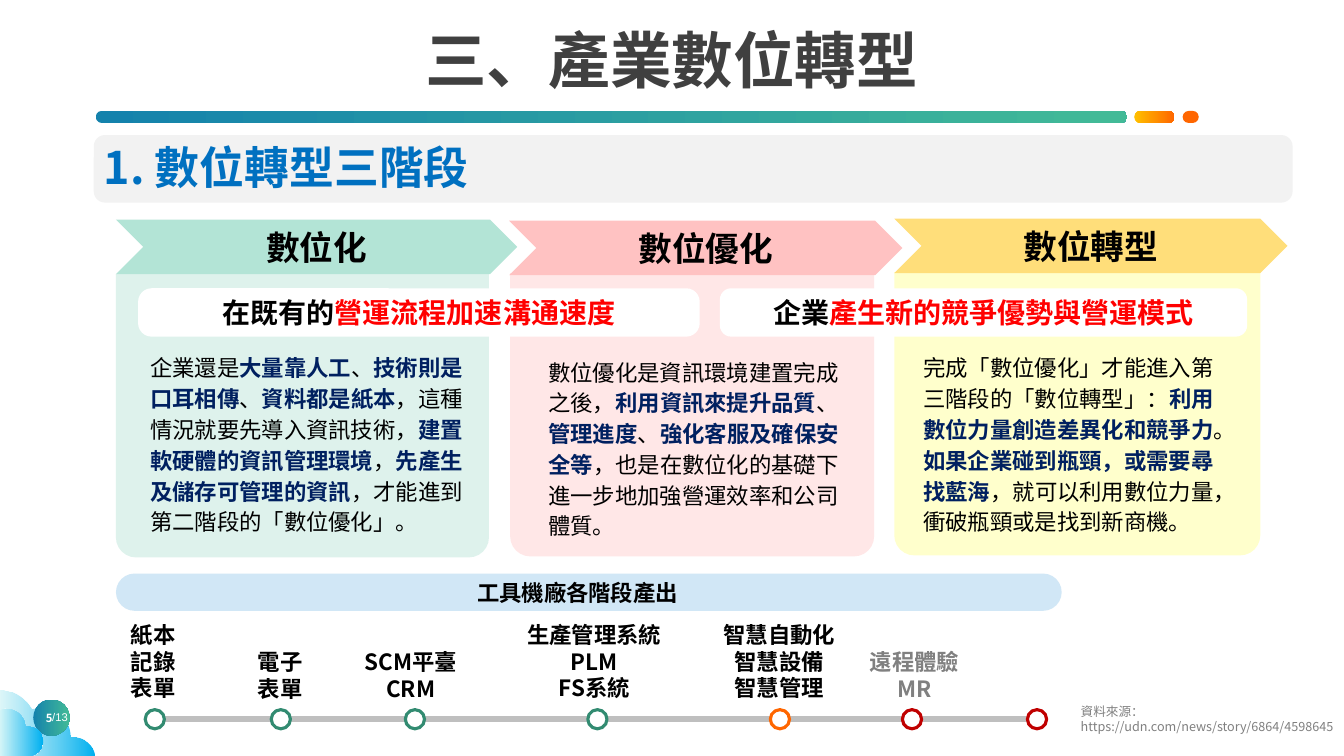
"""Build the slide on the three stages of industrial digital transformation."""
from lxml.etree import SubElement
from pptx import Presentation
from pptx.dml.color import RGBColor
from pptx.enum.shapes import MSO_CONNECTOR, MSO_SHAPE
from pptx.enum.text import MSO_ANCHOR, PP_ALIGN
from pptx.oxml.ns import qn
from pptx.util import Pt

PX = 9144
FONT = "Noto Sans CJK SC"
COLORS = {
    "white": "FFFFFF", "black": "000000", "title": "404040", "heading": "0070C0",
    "navy": "002060", "red": "FF0000", "gray": "808080", "band": "F2F2F2",
    "sky": "00B0F0", "ice": "D4F5F7", "ocean": "1482AC", "teal": "42BA97",
    "amber": "FFC000", "orange": "FF6600", "rail": "BFBFBF", "output": "D1E7F6",
    "green": "328B71", "crimson": "C00000",
    "mint": "B3E4D6", "pale mint": "D9F1EA", "pink": "FFC2C2",
    "pale pink": "FFE3E3", "gold": "FFDE7A", "pale gold": "FFFFCC",
}
BACK_CLOUD = [
    (0, 685), (5, 685), (16, 686, 26, 693, 32, 703), (40, 700, 50, 702, 58, 707),
    (65, 712, 70, 721, 70, 730), (72, 730), (83, 730, 92, 738, 94, 748),
    (94, 750), (28, 750), (34, 750, 39, 746, 41, 742), (44, 737, 43, 731, 40, 727),
    (37, 723, 33, 721, 29, 721), (25, 721), (25, 713, 19, 706, 11, 704),
    (9, 703, 7, 703, 5, 703), (0, 705),
]
FRONT_CLOUD = [
    (5, 703), (11, 704), (19, 706, 25, 713, 25, 721), (29, 721), (33, 722),
    (36, 723, 38, 724, 40, 727), (43, 731, 44, 737, 41, 742),
    (39, 746, 34, 750, 28, 750), (0, 750), (0, 705),
]
TITLE_BARS = [(95, 1023, ("ocean", "teal")), (1125, 40, ("amber", "orange")),
              (1173, 16, "orange")]
# Vertical bars in the wording separate plain and emphasised runs.
STAGES = [
    ("數位化", "mint", "pale mint", 86, (115, 218, 398, 54), (115, 272, 370, 281),
     (139, 343, 331, 193),
     "企業還是|大量靠人工|、|技術則是口耳相傳|、|資料都是紙本|，這種情況就要先導入資訊技術，|"
     "建置軟硬體的資訊管理環境|，|先產生及儲存可管理的資訊|，才能進到第二階段的「數位優化」。"),
    ("數位優化", "pink", "pale pink", 84, (505, 219, 390, 54), (506, 271, 361, 281),
     (534, 347, 322, 193),
     "數位優化是資訊環境建置完成之後，|利用資訊來提升品質|、|管理進度|、|強化客服及確保安全等|"
     "，也是在數位化的基礎下進一步地加強營運效率和公司體質。"),
    ("數位轉型", "gold", "pale gold", 100, (887, 217, 390, 54), (887, 270, 363, 281),
     (906, 343, 324, 193),
     "完成「數位優化」才能進入第三階段的「數位轉型」：|利用數位力量創造差異化和競爭力|。|"
     "如果企業碰到瓶頸，或需要尋找藍海|，就可以利用數位力量，衝破瓶頸或是找到新商機。"),
]
GOALS = [((137, 286, 557, 48), 0.278, "在既有的|營運流程加速溝通速度"),
         ((714, 286, 523, 48), 0.233, "企業|產生新的競爭優勢與營運模式")]
NODES = [(144, "green"), (269, "green"), (402, "green"), (583, "green"),
         (764, "orange"), (895, "crimson"), (1019, "crimson")]
OUTPUTS = [
    (115, 74, 3, ["紙本", "記錄表單"], "black"),
    (241, 74, 2, ["電子表單"], "black"),
    (341, 133, 2, ["SCM平臺", "CRM"], "black"),
    (503, 173, 3, ["生產管理系統", "PLM", "FS系統"], "black"),
    (706, 134, 3, ["智慧自動化", "智慧設備", "智慧管理"], "black"),
    (840, 134, 2, ["遠程體驗", "MR"], "gray"),
]
LABEL_BOTTOM, LABEL_LINE, LABEL_MARGINS = 702, 27, 10

presentation = Presentation()
presentation.slide_width, presentation.slide_height = 1333 * PX, 750 * PX
slide = presentation.slides.add_slide(presentation.slide_layouts[6])
shapes = slide.shapes


def rgb(name):
    return RGBColor.from_string(COLORS[name])


def paint(shape, fill, alpha=100):
    """Fill with one colour, or with a left-to-right gradient for a pair."""
    shape.shadow.inherit = False
    shape.line.fill.background()
    if isinstance(fill, tuple):
        shape.fill.gradient()
        shape.fill.gradient_angle = 0
        for stop, name, position in zip(shape.fill.gradient_stops, fill, (0, 1)):
            stop.color.rgb, stop.position = rgb(name), position
    else:
        shape.fill.solid()
        shape.fill.fore_color.rgb = rgb(fill)
    if alpha < 100:
        color = next(shape.fill._xPr.iter(qn("a:srgbClr")))
        SubElement(color, qn("a:alpha")).set("val", str(alpha * 1000))


def add_shape(kind, box, fill, alpha=100, adjustments=()):
    shape = shapes.add_shape(kind, *(length * PX for length in box))
    for index, value in enumerate(adjustments):
        shape.adjustments[index] = value
    paint(shape, fill, alpha)
    return shape


def add_cloud(outline, alpha=100):
    """Draw an outline whose six-number entries are cubic curves."""
    current, points = outline[0], []
    for entry in outline[1:]:
        if len(entry) == 2:
            points.append(entry)
        else:
            corners = [current, entry[:2], entry[2:4], entry[4:]]
            for t in (step / 8 for step in range(1, 9)):
                weights = ((1 - t) ** 3, 3 * t * (1 - t) ** 2, 3 * t * t * (1 - t), t ** 3)
                points.append(tuple(sum(w * corner[axis] for w, corner in zip(weights, corners))
                                    for axis in (0, 1)))
        current = entry[-2:]
    builder = shapes.build_freeform(*(value * PX for value in outline[0]), scale=1.0)
    builder.add_line_segments([(x * PX, y * PX) for x, y in points], close=True)
    paint(builder.convert_to_shape(), ("ice", "sky"), alpha)


def write(shape, lines, size, color="black", bold=True, emphasis=None, align=PP_ALIGN.CENTER,
          anchor=MSO_ANCHOR.MIDDLE, wrap=True, spacing=None, name=FONT):
    frame = shape.text_frame
    frame.word_wrap, frame.vertical_anchor = wrap, anchor
    for index, line in enumerate(lines):
        paragraph = frame.add_paragraph() if index else frame.paragraphs[0]
        paragraph.alignment = align
        if spacing:
            paragraph.line_spacing = Pt(spacing)
        for position, text in enumerate(line.split("|")):
            run = paragraph.add_run()
            run.text = text
            stressed = position % 2 == 1
            formats = {"size": Pt(size), "bold": bold or stressed, "name": name}
            for key, value in formats.items():
                setattr(run.font, key, value)
            run.font.color.rgb = rgb(emphasis if stressed else color)
            SubElement(run.font._element, qn("a:ea")).set("typeface", name)


def add_text(box, lines, size, **formats):
    text_box = shapes.add_textbox(*(length * PX for length in box))
    write(text_box, lines, size, **formats)


def main():
    left_top = {"align": PP_ALIGN.LEFT, "anchor": MSO_ANCHOR.TOP}
    add_cloud(BACK_CLOUD, 75)
    for left, width, fill in TITLE_BARS:
        add_shape(MSO_SHAPE.ROUNDED_RECTANGLE, (left, 110, width, 12), fill, adjustments=[0.5])
    add_shape(MSO_SHAPE.OVAL, (33, 694, 36, 36), ("ocean", "teal"))
    add_cloud(FRONT_CLOUD)
    add_text((42, 700, 36, 24), ["/13"], 8, color="white", bold=False, wrap=False,
             name="Arial", **left_top)
    add_text((12, 692, 50, 40), ["5"], 8, color="white", align=PP_ALIGN.RIGHT)

    add_text((0, 6, 1333, 104), ["三、產業數位轉型"], 44, color="title")
    add_shape(MSO_SHAPE.ROUNDED_RECTANGLE, (93, 134, 1189, 67), "band")
    add_text((93, 134, 1196, 64), ["1. 數位轉型三階段"], 32, color="heading", **left_top)

    for name, fill, pale, alpha, arrow, panel, body, text in STAGES:
        add_shape(MSO_SHAPE.ROUND_2_SAME_RECTANGLE, panel, pale, alpha, [0, 0.071])
        write(add_shape(MSO_SHAPE.CHEVRON, arrow, fill), [name], 24)
        add_text(body, [text], 16, bold=False, emphasis="navy", spacing=22, **left_top)
    for box, radius, text in GOALS:
        goal = add_shape(MSO_SHAPE.ROUNDED_RECTANGLE, box, "white", adjustments=[radius])
        write(goal, [text], 20, emphasis="red")

    banner = add_shape(MSO_SHAPE.ROUNDED_RECTANGLE, (115, 569, 938, 37), "output",
                       adjustments=[0.5])
    banner.text_frame.margin_right = 32 * PX
    write(banner, ["工具機廠各階段產出"], 16)
    rail = shapes.add_connector(MSO_CONNECTOR.STRAIGHT, 150 * PX, 713 * PX, 1034 * PX, 713 * PX)
    rail.line.color.rgb, rail.line.width = rgb("rail"), Pt(4.5)
    SubElement(rail._element.spPr, qn("a:effectLst"))
    for left, color in NODES:
        node = add_shape(MSO_SHAPE.OVAL, (left, 704, 19, 19), "white")
        node.line.color.rgb, node.line.width = rgb(color), Pt(2.25)
    for left, width, rows, lines, color in OUTPUTS:
        height = rows * LABEL_LINE + LABEL_MARGINS
        add_text((left, LABEL_BOTTOM - height, width, height), lines, 16, color=color,
                 anchor=MSO_ANCHOR.TOP)
    add_text((1062, 693, 271, 40), ["資料來源：", "https://udn.com/news/story/6864/4598645"], 9,
             color="gray", bold=False, wrap=False, **left_top)
    presentation.save("out.pptx")


if __name__ == "__main__":
    main()
